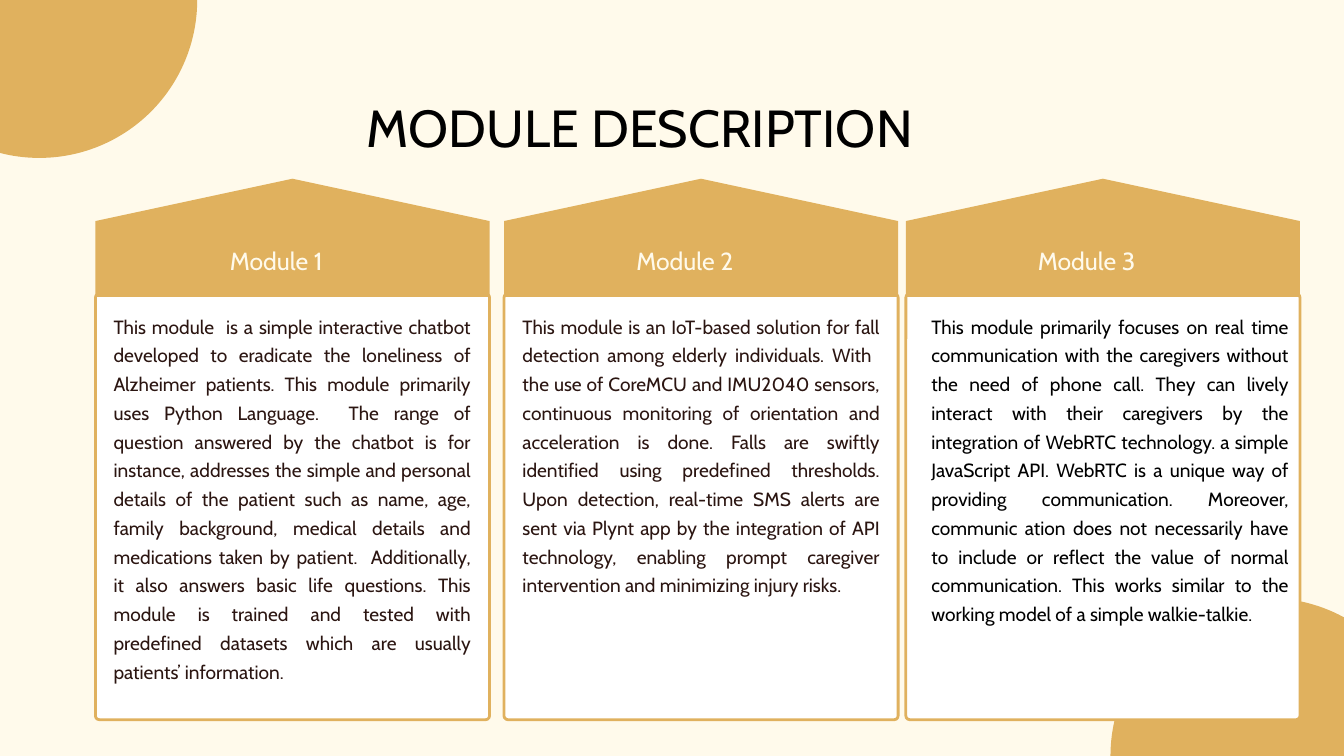
from pptx import Presentation
from pptx.dml.color import RGBColor
from pptx.enum.shapes import MSO_SHAPE
from pptx.enum.text import MSO_AUTO_SIZE, PP_ALIGN
from pptx.util import Inches, Pt

OVAL, ROUND = MSO_SHAPE.OVAL, MSO_SHAPE.ROUNDED_RECTANGLE
LEFT, MID, JUST = PP_ALIGN.LEFT, PP_ALIGN.CENTER, PP_ALIGN.JUSTIFY
GROW = MSO_AUTO_SIZE.SHAPE_TO_FIT_TEXT
GOLD, CREAM, WHITE, BROWN, BLACK = "E0B15E", "FFFAEB", "FFFFFF", "2B1511", "000000"

deck = Presentation()
deck.slide_width, deck.slide_height = Inches(20), Inches(11.25)
UNIT = deck.slide_width / 200  # square grid: 200 columns by 112.5 rows
slide = deck.slides.add_slide(deck.slide_layouts[6])
slide.background.fill.solid()
slide.background.fill.fore_color.rgb = RGBColor.from_string(CREAM)


def paint(shape, fill, line=None):
    shape.shadow.inherit = False
    shape.fill.solid()
    shape.fill.fore_color.rgb = RGBColor.from_string(fill)
    if line:
        shape.line.color.rgb = RGBColor.from_string(line)
        shape.line.width = Pt(3)
    else:
        shape.line.fill.background()


def write(text, grid, size, lead, tint, align):
    """Place a text box at grid = (column, row, columns, rows)."""
    frame = slide.shapes.add_textbox(*[round(n * UNIT) for n in grid]).text_frame
    frame.word_wrap = True
    frame.auto_size = GROW
    frame.margin_left = frame.margin_right = frame.margin_top = frame.margin_bottom = 0
    frame.text = text
    para = frame.paragraphs[0]
    para.alignment = align
    para.line_spacing = Pt(lead)
    font = para.runs[0].font
    font.name, font.size = "Cabin", Pt(size)
    font.color.rgb = RGBColor.from_string(tint)


# Corner circles, centred near the slide's edges
DISC = 47
for x, y in [(5.85, 0), (188.75, 112.5)]:
    box = [round(n * UNIT) for n in (x - DISC / 2, y - DISC / 2, DISC, DISC)]
    paint(slide.shapes.add_shape(OVAL, *box), GOLD)

write("MODULE DESCRIPTION", (54.6, 14.2, 90.8, 9.3), 55.8, 67, BLACK, LEFT)

# Each module: card column, body rows, body colour, body text
modules = [
    (14.2, 59.6, BROWN,
     "This module  is a simple interactive chatbot developed to eradicate the "
     "loneliness of Alzheimer patients. This module primarily uses Python Language.  "
     "The range of question answered by the chatbot is for instance, addresses the "
     "simple and personal details of the patient such as name, age, family "
     "background, medical details and medications taken by patient.  Additionally, "
     "it also answers basic life questions. This module is trained and tested with "
     "predefined datasets which are usually patients’ information."),
    (75, 51, BROWN,
     "This module is an IoT-based solution for fall detection among elderly "
     "individuals. With  the use of CoreMCU and IMU2040 sensors, continuous "
     "monitoring of orientation and acceleration is done. Falls are swiftly "
     "identified using predefined thresholds. Upon detection, real-time SMS alerts "
     "are sent via Plynt app by the integration of API technology, enabling prompt "
     "caregiver intervention and minimizing injury risks."),
    (134.8, 55.3, BLACK,
     "This module primarily focuses on real time communication with the caregivers "
     "without the need of phone call. They can lively interact with their "
     "caregivers by the integration of WebRTC technology. a simple JavaScript API. "
     "WebRTC is a unique way of providing communication. Moreover, communic ation "
     "does not necessarily have to include or reflect the value of normal "
     "communication. This works similar to the working model of a simple "
     "walkie-talkie."),
]
WIDE, PEAK, EAVE, BASE = 58.65, 26.6, 32.9, 44.2
for i, (x, rows, tint, body) in enumerate(modules):
    box = [round(n * UNIT) for n in (x, 43.7, WIDE, 63.4)]
    card = slide.shapes.add_shape(ROUND, *box)
    card.adjustments[0] = 0.01
    paint(card, WHITE, GOLD)

    roof = [(x, BASE), (x, EAVE), (x + WIDE / 2, PEAK), (x + WIDE, EAVE), (x + WIDE, BASE)]
    spots = [(round(a * UNIT), round(b * UNIT)) for a, b in roof]
    shape = slide.shapes.build_freeform(*spots[0])
    shape.add_line_segments(spots[1:])
    paint(shape.convert_to_shape(), GOLD)

    write(f"Module {i + 1}", (x + 4.65, 35.9, 44.5, 4.9), 26.5, 37.1, CREAM, MID)
    write(body, (16.9 + i * 60.85, 46, 53.2, rows), 20.5, 30.8, tint, JUST)

deck.save("out.pptx")
